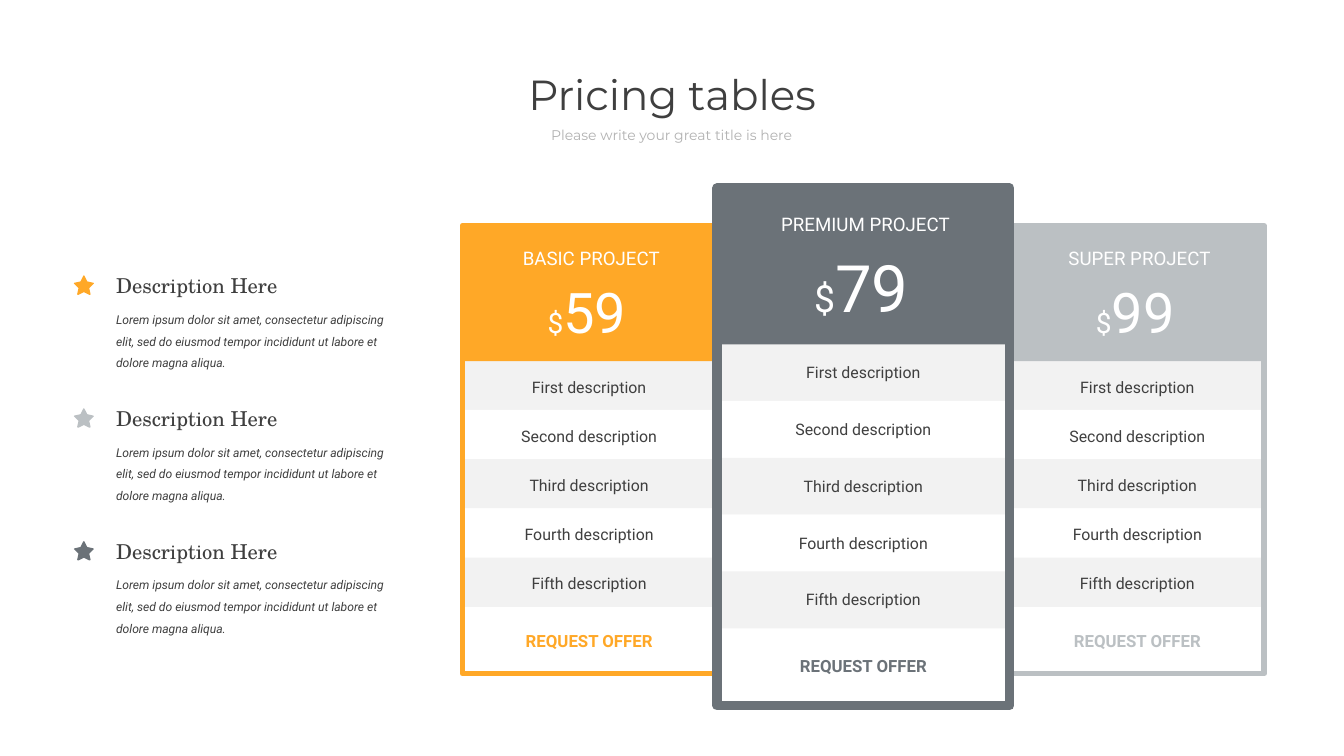
from dataclasses import dataclass

from pptx import Presentation
from pptx.dml.color import RGBColor
from pptx.enum.shapes import MSO_SHAPE
from pptx.enum.text import MSO_ANCHOR, MSO_AUTO_SIZE, PP_ALIGN
from pptx.util import Cm, Pt


@dataclass(frozen=True)
class Theme:
    """Colours, fonts and type sizes of the deck."""

    dark: str = "3F3F3F"
    mute: str = "B2B2B2"
    white: str = "FFFFFF"
    band: str = "F2F2F2"
    gold: str = "FFA827"
    slate: str = "6B7278"
    silver: str = "BBC0C3"
    sans: str = "Roboto"
    serif: str = "TeX Gyre Schola"
    show: str = "Montserrat"
    title: int = 45
    sub: int = 15
    plan: int = 20
    row: int = 17
    offer: int = 18
    head: int = 22
    body: int = 13


THEME = Theme()
ROWS = [f"{rank} description" for rank in ("First", "Second", "Third", "Fourth", "Fifth")]
LOREM = (
    "Lorem ipsum dolor sit amet, consectetur adipiscing elit, "
    "sed do eiusmod tempor incididunt ut labore et dolore magna aliqua."
)
HALF = [(15, 0), (16, 1), (20, 9), (29, 11), (30, 12), (23, 19), (25, 28), (24, 29), (23, 29), (15, 25)]


def style(run, size, color, face=THEME.sans, bold=False, italic=False):
    """Format one run."""
    font = run.font
    font.size, font.name, font.bold, font.italic = Pt(size), face, bold, italic
    font.color.rgb = RGBColor.from_string(color)


def place(shape, x, y, w, h):
    """Set the frame of a shape in centimetres."""
    shape.left, shape.top, shape.width, shape.height = Cm(x), Cm(y), Cm(w), Cm(h)


def write(shape, words, size, color, align=PP_ALIGN.CENTER, grow=False, **look):
    """Fill a shape with one paragraph and return it."""
    frame = shape.text_frame
    frame.text = words
    frame.word_wrap = True
    frame.vertical_anchor = MSO_ANCHOR.TOP
    frame.auto_size = MSO_AUTO_SIZE.SHAPE_TO_FIT_TEXT if grow else MSO_AUTO_SIZE.NONE
    line = frame.paragraphs[0]
    line.alignment = align
    style(line.runs[0], size, color, **look)
    return line


def label(slide, box, words, size, color, **look):
    """Add a text box and return its paragraph."""
    shape = slide.shapes.add_textbox(*map(Cm, box))
    return write(shape, words, size, color, **look)


def paint(shape, color):
    """Give a shape a flat fill with no line."""
    shape.shadow.inherit = False
    shape.fill.solid()
    shape.fill.fore_color.rgb = RGBColor.from_string(color)
    shape.line.fill.background()


def block(slide, x, y, w, h, color):
    """Add a filled rectangle."""
    paint(slide.shapes.add_shape(MSO_SHAPE.RECTANGLE, Cm(x), Cm(y), Cm(w), Cm(h)), color)


def border(slide, x, y, w, h, color, weight):
    """Add a hollow rectangle."""
    shape = slide.shapes.add_shape(MSO_SHAPE.RECTANGLE, Cm(x), Cm(y), Cm(w), Cm(h))
    shape.shadow.inherit = False
    shape.fill.background()
    shape.line.color.rgb = RGBColor.from_string(color)
    shape.line.width = Pt(weight)


def star(slide, x, y, color):
    """Draw a star with blunt tips, mirrored from its right half."""
    left = [(30 - px, py) for px, py in HALF[-2:0:-1]]
    pen = slide.shapes.build_freeform(*HALF[0], scale=Cm(1) / 39.37)
    pen.add_line_segments(HALF[1:] + left, close=True)
    paint(pen.convert_to_shape(Cm(x), Cm(y)), color)


def card(slide, x, y, name, price, color, scale, weight, small, large):
    """Draw one price plan at the given scale."""
    wide, tall, step = 9.58 * scale, 16.94 * scale, 1.86 * scale

    def span(top, part, high, shift=0.0):
        """Return a box centred in the plan."""
        return x + wide * (1 - part) / 2 + shift, y + top * scale, wide * part, high * scale

    for i, words in enumerate(ROWS):
        top = 5.11 + 1.86 * i
        block(slide, x, y + top * scale, wide, step, THEME.white if i % 2 else THEME.band)
        label(slide, span(top + 0.5, 0.72, 1.06), words, THEME.row, THEME.dark)
    block(slide, x, y, wide, 5.12 * scale, color)
    border(slide, x, y, wide, tall, color, weight)
    label(slide, span(0.69, 0.82, 1.42, 0.08), name, THEME.plan, THEME.white)
    label(slide, span(15.19, 0.82, 1.22), "REQUEST OFFER", THEME.offer, color, bold=True)
    line = label(slide, span(1.83, 0.82, 3, -0.08), "$", small, THEME.white)
    run = line.add_run()
    run.text = price
    style(run, large, THEME.white)


def note(slide, y, color):
    """Add a starred heading with its text."""
    star(slide, 2.79, y + 0.2, color)
    label(slide, (4.14, y + 1.19, 10.85, 2.77), LOREM, THEME.body, THEME.dark,
          align=PP_ALIGN.LEFT, grow=True, italic=True).line_spacing = 1.5
    label(slide, (4.14, y, 7.72, 1.19), "Description Here", THEME.head, THEME.dark,
          align=PP_ALIGN.LEFT, grow=True, face=THEME.serif)


def main():
    """Build the slide and save it."""
    deck = Presentation()
    deck.slide_width, deck.slide_height = Cm(50.8), Cm(28.58)
    slide = deck.slides.add_slide(deck.slide_layouts[5])
    title = slide.shapes.title
    place(title, 13.39, 2.46, 24.03, 2.18)
    write(title, "Pricing tables", THEME.title, THEME.dark, face=THEME.show)
    label(slide, (16.54, 4.65, 17.7, 0.89), "Please write your great title is here",
          THEME.sub, THEME.mute, grow=True, face=THEME.show)
    card(slide, 17.48, 8.53, "BASIC PROJECT", "59", THEME.gold, 1, 6, 30, 60)
    card(slide, 38.2, 8.53, "SUPER PROJECT", "99", THEME.silver, 1, 6, 30, 60)
    card(slide, 27.1, 7.11, "PREMIUM PROJECT", "79", THEME.slate, 1.155, 10, 40, 70)
    for i, color in enumerate((THEME.gold, THEME.silver, THEME.slate)):
        note(slide, 10.21 + 5.02 * i, color)
    deck.save("out.pptx")


if __name__ == "__main__":
    main()
